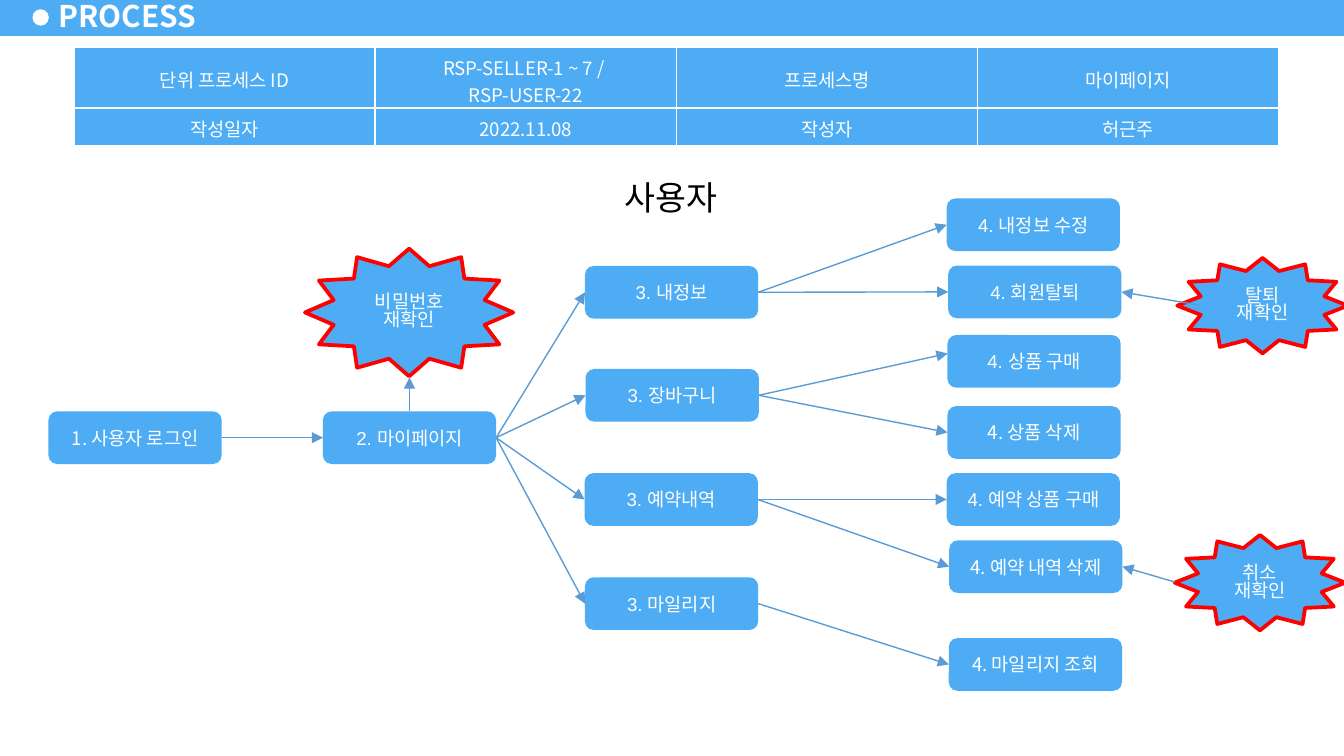
from lxml.etree import SubElement
from pptx import Presentation
from pptx.dml.color import RGBColor
from pptx.enum.shapes import MSO_CONNECTOR, MSO_SHAPE
from pptx.enum.text import MSO_ANCHOR, PP_ALIGN
from pptx.oxml.ns import qn
from pptx.util import Pt

COLORS = {"blue": "4DACF3", "white": "FFFFFF", "black": "000000", "arrow": "5B9BD5", "red": "FF0000"}
KOREAN = "Noto Sans CJK KR"
LATIN = "Arial"
NODE_WIDTH, NODE_HEIGHT = 92.8, 28.2

INFO_ROWS = [
    ["단위 프로세스 ID", "RSP-SELLER-1 ~ 7 / \nRSP-USER-22", "프로세스명", "마이페이지"],
    ["작성일자", "2022.11.08", "작성자", "허근주"],
]

NODES = {
    "login": ("1. 사용자 로그인", 0, 129.4, KOREAN),
    "my_page": ("2. 마이페이지", 147, 129.4, LATIN),
    "info": ("3. 내정보", 287.4, 51.5, LATIN),
    "cart": ("3. 장바구니", 287.7, 106.7, LATIN),
    "booking": ("3. 예약내역", 287.2, 162.5, LATIN),
    "mileage": ("3. 마일리지", 287.4, 218.3, LATIN),
    "info_edit": ("4. 내정보 수정", 481.2, 15.3, LATIN),
    "leave": ("4. 회원탈퇴", 482, 51.3, LATIN),
    "buy": ("4. 상품 구매", 481.6, 88.5, LATIN),
    "cart_delete": ("4. 상품 삭제", 481.6, 126.6, KOREAN),
    "booking_buy": ("4. 예약 상품 구매", 481.2, 162.5, LATIN),
    "booking_delete": ("4. 예약 내역 삭제", 482.5, 198.5, KOREAN),
    "mileage_view": ("4. 마일리지 조회", 482.3, 250.9, KOREAN),
}

LINKS = {
    "login": ["my_page"],
    "my_page": ["info", "cart", "booking", "mileage"],
    "info": ["info_edit", "leave"],
    "cart": ["cart_delete"],
    "booking": ["booking_buy", "booking_delete"],
    "mileage": ["mileage_view"],
}

CHECKS = [
    ("비밀번호 재확인", 137.4, 42.2, 111.6, 68.4),
    ("취소 재확인", 603.3, 195.6, 91.4, 51.1),
    ("탈퇴 재확인", 604.7, 47.2, 91.4, 51.1),
]


def color(name):
    return RGBColor.from_string(COLORS[name])


def format_text(frame, size, tint, font=KOREAN, align=PP_ALIGN.CENTER, bold=False):
    for para in frame.paragraphs:
        para.alignment = align
        for span in para.runs:
            span.font.size = Pt(size)
            span.font.bold = bold
            span.font.name = font
            span.font.color.rgb = color(tint)
            SubElement(span.font._element, qn("a:ea")).set("typeface", KOREAN)


def add_block(page, preset, left, top, width, height, fill):
    block = page.shapes.add_shape(preset, Pt(left), Pt(top), Pt(width), Pt(height))
    block.shadow.inherit = False
    block.fill.solid()
    block.fill.fore_color.rgb = color(fill)
    block.line.fill.background()
    return block


def add_arrow(page, start, end):
    arrow = page.shapes.add_connector(MSO_CONNECTOR.STRAIGHT, *start, *end)
    arrow.line.color.rgb = color("arrow")
    arrow.line.width = Pt(0.75)
    SubElement(arrow.line._get_or_add_ln(), qn("a:tailEnd")).set("type", "triangle")
    SubElement(arrow.element.spPr, qn("a:effectLst"))
    return arrow


def add_header(page, left, top, width, height):
    title = page.shapes.title
    banner = add_block(page, MSO_SHAPE.RECTANGLE, left, top, width, height, "blue")
    bullet = add_block(page, MSO_SHAPE.OVAL, left + 17.4, top + 6.4, 8.8, 8.8, "white")
    title.element.addprevious(banner.element)
    title.element.addprevious(bullet.element)
    title.left, title.top = Pt(left + 25), Pt(top - 1.6)
    title.width, title.height = Pt(88), Pt(23)
    frame = title.text_frame
    frame.text = "PROCESS"
    frame.word_wrap = False
    frame.vertical_anchor = MSO_ANCHOR.MIDDLE
    frame.margin_left = frame.margin_right = Pt(6.5)
    frame.margin_top = frame.margin_bottom = Pt(3)
    format_text(frame, 16, "white", align=PP_ALIGN.LEFT, bold=True)


def add_cell_borders(cell):
    properties = cell._tc.get_or_add_tcPr()
    for index, side in enumerate(["lnL", "lnR", "lnT", "lnB"]):
        border = SubElement(properties, qn(f"a:{side}"), w=str(Pt(1)))
        fill = SubElement(border, qn("a:solidFill"))
        SubElement(fill, qn("a:srgbClr")).set("val", COLORS["white"])
        properties.insert(index, border)


def add_info_table(page, left, top, width, row_heights):
    frame = page.shapes.add_table(2, 4, Pt(left), Pt(top), Pt(width), Pt(sum(row_heights)))
    table = frame.table
    for column in table.columns:
        column.width = Pt(width / 4)
    for row, height, texts in zip(table.rows, row_heights, INFO_ROWS):
        row.height = Pt(height)
        for cell, text in zip(row.cells, texts):
            cell.text_frame.text = text
            cell.vertical_anchor = MSO_ANCHOR.MIDDLE
            cell.margin_top = Pt(3.6)
            cell.margin_bottom = Pt(0 if "\n" in text else 2)
            cell.fill.solid()
            cell.fill.fore_color.rgb = color("blue")
            add_cell_borders(cell)
            format_text(cell.text_frame, 10, "white")


def add_flow(page, left, top):
    def spot(x, y):
        return Pt(left + x), Pt(top + y)

    heading = add_block(page, MSO_SHAPE.RECTANGLE, left + 205, top + 0.4, 257, 29.5, "white")
    heading.text_frame.text = "사용자"
    heading.text_frame.vertical_anchor = MSO_ANCHOR.TOP
    format_text(heading.text_frame, 18, "black")

    boxes = {}
    for name, (text, x, y, font) in NODES.items():
        box = add_block(page, MSO_SHAPE.ROUNDED_RECTANGLE, left + x, top + y, NODE_WIDTH, NODE_HEIGHT, "blue")
        box.text_frame.text = text
        box.text_frame.vertical_anchor = MSO_ANCHOR.MIDDLE
        format_text(box.text_frame, 10, "white", font)
        boxes[name] = box

    for source, targets in LINKS.items():
        for target in targets:
            arrow = add_arrow(page, spot(0, 0), spot(0, 0))
            arrow.begin_connect(boxes[source], 3)
            arrow.end_connect(boxes[target], 1)
    add_arrow(page, spot(0, 0), spot(481.6, 98.4)).begin_connect(boxes["cart"], 3)

    for text, x, y, width, height in CHECKS:
        star = add_block(page, MSO_SHAPE.STAR_12_POINT, left + x, top + y, width, height, "blue")
        star.line.color.rgb = color("red")
        star.line.width = Pt(2)
        frame = star.text_frame
        frame.text = text
        frame.word_wrap = True
        frame.vertical_anchor = MSO_ANCHOR.MIDDLE
        frame.paragraphs[0].line_spacing = 0.8
        format_text(frame, 10, "white")

    add_arrow(page, spot(0, 0), spot(193.4, 111.2)).begin_connect(boxes["my_page"], 0)
    add_arrow(page, spot(603.3, 220.8), spot(0, 0)).end_connect(boxes["booking_delete"], 3)
    add_arrow(page, spot(616.2, 72.4), spot(0, 0)).end_connect(boxes["leave"], 3)


def main():
    deck = Presentation()
    deck.slide_width, deck.slide_height = Pt(720), Pt(405)
    page = deck.slides.add_slide(deck.slide_layouts[5])
    add_header(page, 0, -1.4, 720, 20.7)
    add_info_table(page, 39.6, 25.5, 645.6, [31.4, 20.2])
    add_flow(page, 26, 91)
    deck.save("out.pptx")


if __name__ == "__main__":
    main()
